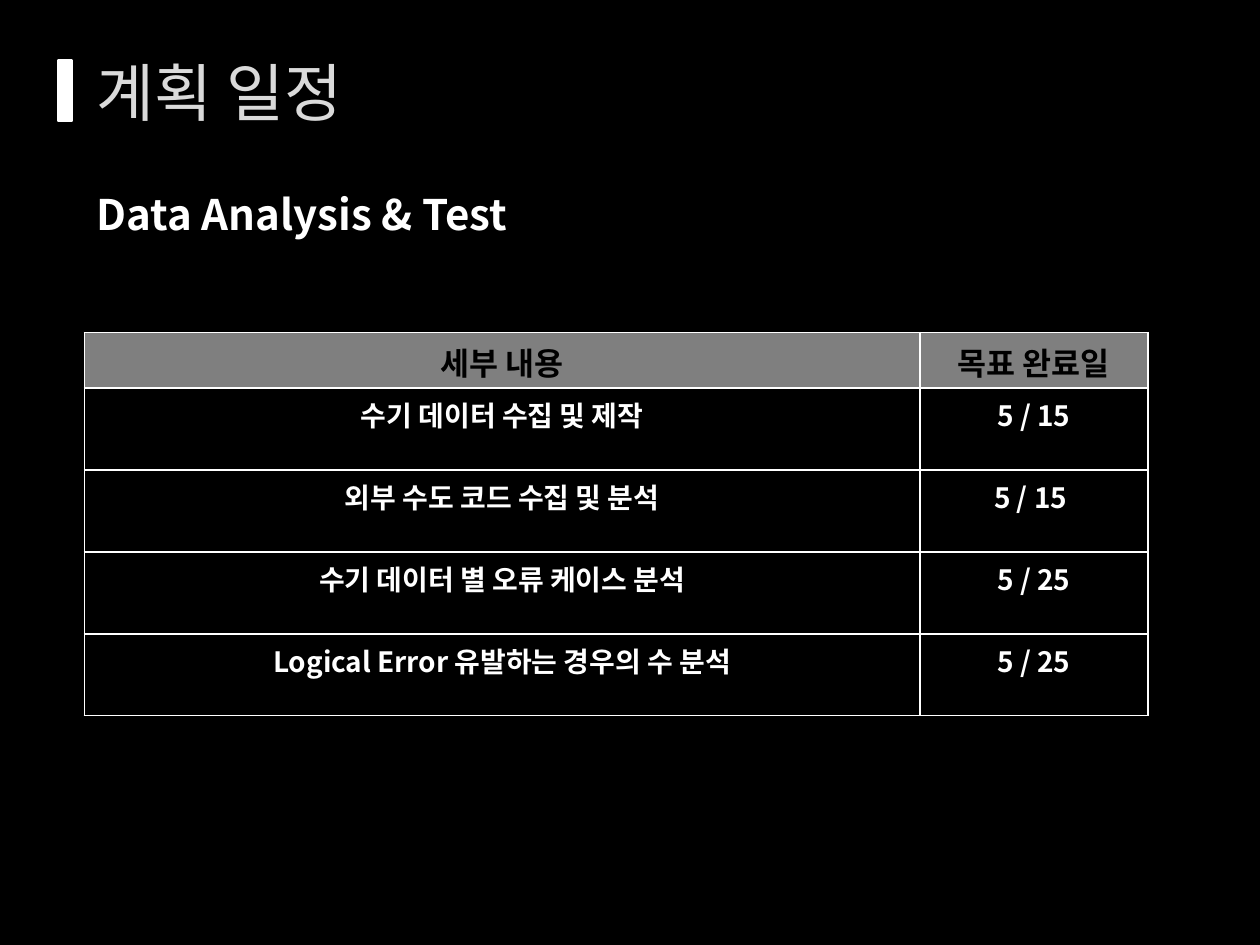
import pptx
import pptx.dml.color
import pptx.enum.shapes
import pptx.enum.text
import pptx.oxml.ns
import pptx.util
from lxml import etree

RGBColor = pptx.dml.color.RGBColor
BLACK = RGBColor(0x00, 0x00, 0x00)
WHITE = RGBColor(0xFF, 0xFF, 0xFF)
LIGHT_GRAY = RGBColor(0xDA, 0xDA, 0xDA)
HEADER_GRAY = RGBColor(0x7F, 0x7F, 0x7F)

FONT = "Noto Sans CJK KR"
WIDTH, HEIGHT = 10, 7.5
LEFT = 0.67
COLUMN_WIDTHS = (6.63, 1.81)
HEADER_HEIGHT, ROW_HEIGHT = 0.44, 0.65
SCHEDULE = (
    ("세부 내용", "목표 완료일"),
    ("수기 데이터 수집 및 제작", "5 / 15"),
    ("외부 수도 코드 수집 및 분석", "5 / 15 "),
    ("수기 데이터 별 오류 케이스 분석", "5 / 25"),
    ("Logical Error 유발하는 경우의 수 분석", "5 / 25"),
)


def inches(*lengths):
    return [pptx.util.Inches(length) for length in lengths]


def add_element(parent, tag, **attributes):
    return etree.SubElement(parent, pptx.oxml.ns.qn(tag), **attributes)


def write_text(text_frame, text, size, color, bold=False, align=None):
    paragraph = text_frame.paragraphs[0]
    paragraph.alignment = align
    run = paragraph.add_run()
    run.text = text
    run.font.size = pptx.util.Pt(size)
    run.font.bold = bold
    run.font.color.rgb = color
    run.font.name = FONT
    add_element(run.font._element, "a:ea", typeface=FONT)


def add_text_box(slide, box, text, anchor=pptx.enum.text.MSO_ANCHOR.TOP, **text_format):
    text_frame = slide.shapes.add_textbox(*inches(*box)).text_frame
    text_frame.word_wrap = True
    text_frame.vertical_anchor = anchor
    write_text(text_frame, text, **text_format)


def add_title_bar(slide, box):
    bar = slide.shapes.add_shape(pptx.enum.shapes.MSO_SHAPE.RECTANGLE, *inches(*box))
    bar.shadow.inherit = False
    bar.fill.solid()
    bar.fill.fore_color.rgb = WHITE
    bar.line.color.rgb = WHITE
    bar.line.width = pptx.util.Pt(1.25)


def add_borders(cell, color, width):
    properties = cell._tc.get_or_add_tcPr()
    for side in "LRTB":
        line = add_element(properties, f"a:ln{side}", w=str(pptx.util.Pt(width)))
        add_element(add_element(line, "a:solidFill"), "a:srgbClr", val=str(color))


def add_schedule(slide, left, top):
    row_heights = [HEADER_HEIGHT] + [ROW_HEIGHT] * (len(SCHEDULE) - 1)
    box = inches(left, top, sum(COLUMN_WIDTHS), sum(row_heights))
    table = slide.shapes.add_table(len(SCHEDULE), len(COLUMN_WIDTHS), *box).table
    table.horz_banding = False
    for column, width in zip(table.columns, inches(*COLUMN_WIDTHS)):
        column.width = width
    for row, height, texts in zip(table.rows, inches(*row_heights), SCHEDULE):
        row.height = height
        is_header = texts is SCHEDULE[0]
        for cell, text in zip(row.cells, texts):
            add_borders(cell, WHITE, 1)
            cell.fill.solid()
            cell.fill.fore_color.rgb = HEADER_GRAY if is_header else BLACK
            write_text(cell.text_frame, text, size=18 if is_header else 16,
                       color=BLACK if is_header else WHITE, bold=True,
                       align=pptx.enum.text.PP_ALIGN.CENTER)


def main():
    presentation = pptx.Presentation()
    presentation.slide_width, presentation.slide_height = inches(WIDTH, HEIGHT)
    slide = presentation.slides.add_slide(presentation.slide_layouts[6])
    slide.background.fill.solid()
    slide.background.fill.fore_color.rgb = BLACK

    add_text_box(slide, (LEFT, 0, WIDTH - LEFT, 1.45), "계획 일정",
                 anchor=pptx.enum.text.MSO_ANCHOR.MIDDLE, size=36, color=LIGHT_GRAY)
    add_title_bar(slide, (0.46, 0.48, 0.11, 0.48))
    add_text_box(slide, (LEFT, 1.45, 5.17, 0.5), "Data Analysis & Test",
                 size=24, color=WHITE, bold=True)
    add_schedule(slide, LEFT, 2.64)
    presentation.save("out.pptx")


if __name__ == "__main__":
    main()
